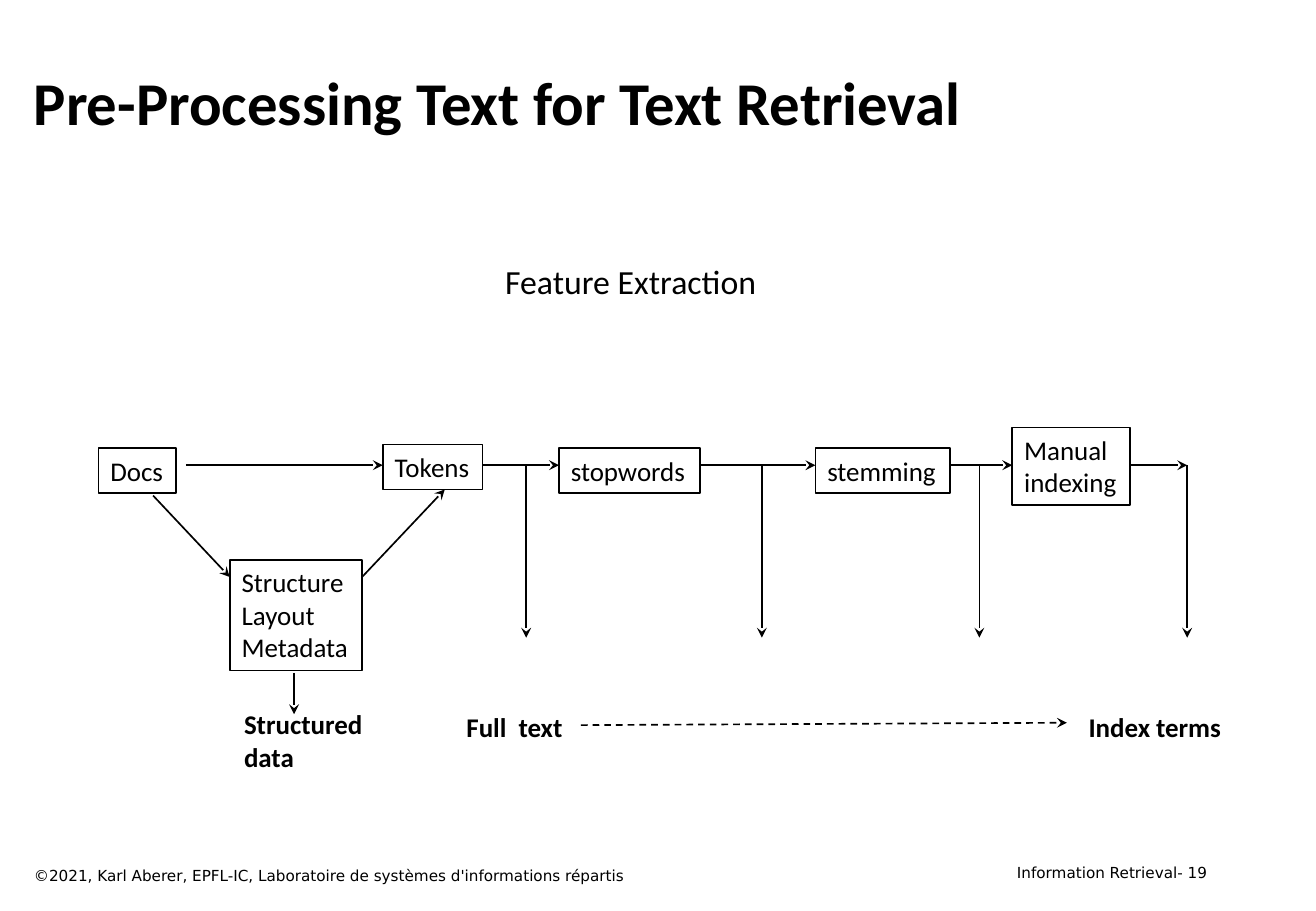
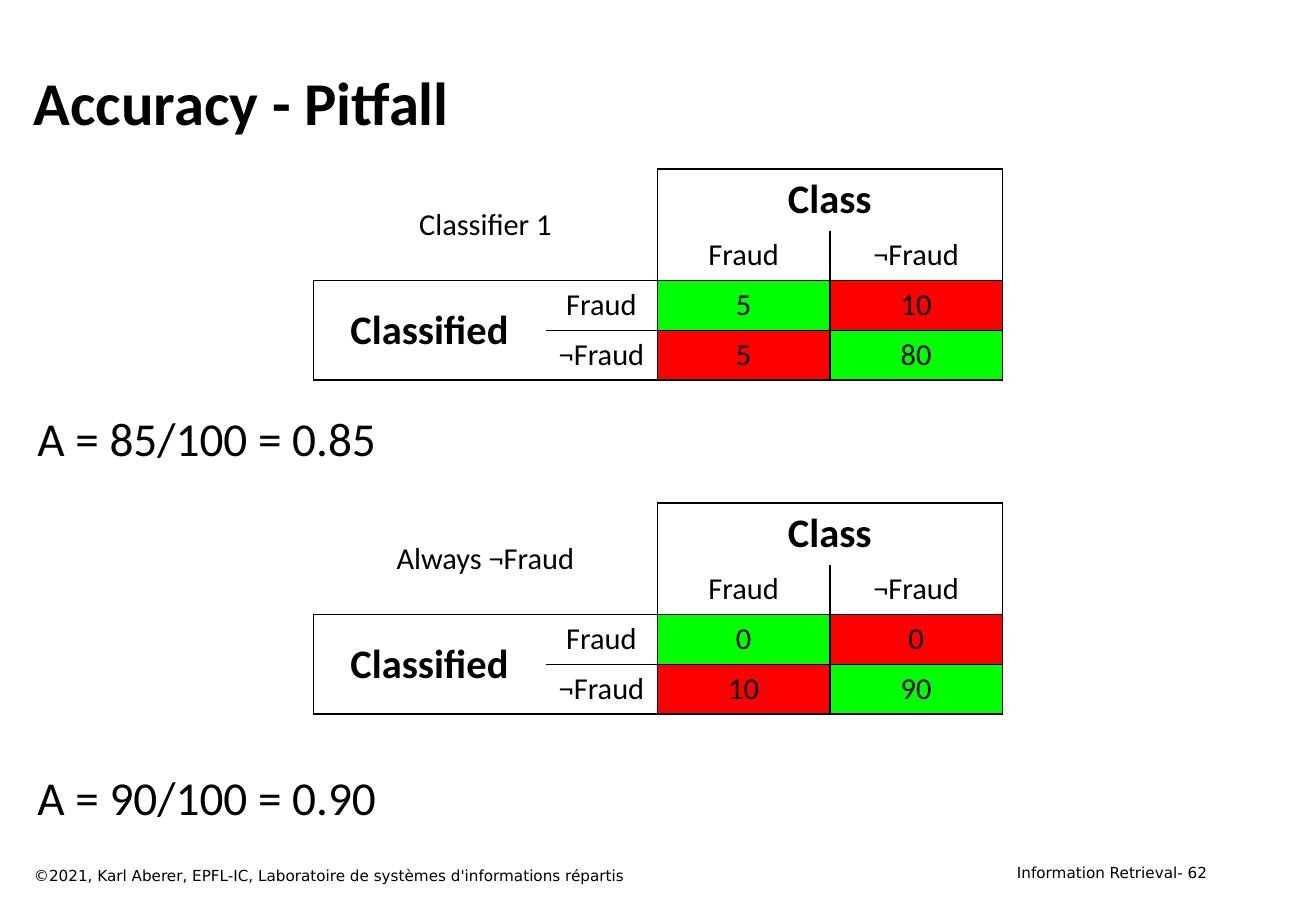
from itertools import pairwise

from lxml import etree
from pptx import Presentation
from pptx.dml.color import RGBColor
from pptx.enum.dml import MSO_LINE
from pptx.enum.shapes import MSO_CONNECTOR, MSO_SHAPE
from pptx.enum.text import MSO_ANCHOR, PP_ALIGN
from pptx.oxml.ns import qn
from pptx.util import Inches, Pt

LEFT, CENTER, RIGHT = PP_ALIGN.LEFT, PP_ALIGN.CENTER, PP_ALIGN.RIGHT
TOP, MIDDLE = MSO_ANCHOR.TOP, MSO_ANCHOR.MIDDLE
STRAIGHT, RECTANGLE, DASH = MSO_CONNECTOR.STRAIGHT, MSO_SHAPE.RECTANGLE, MSO_LINE.DASH

BLACK, GREEN, RED = "000000", "00FF00", "FF0000"
BODY_FONT, FOOTER_FONT = "Calibri", "DejaVu Sans"
COPYRIGHT = "©2021, Karl Aberer, EPFL-IC, Laboratoire de systèmes d'informations répartis"
COURSE = "Information Retrieval- "

# Text, left, top, width, height
PIPELINE = [
    ("Docs", 0.81, 3.69, 0.64, 0.37),
    ("Tokens", 3.15, 3.66, 0.82, 0.37),
    ("stopwords", 4.6, 3.69, 1.16, 0.37),
    ("stemming", 6.71, 3.69, 1.11, 0.37),
    ("Manual\nindexing", 8.33, 3.52, 0.97, 0.64),
]
STRUCTURE = ("Structure\nLayout\nMetadata", 1.89, 4.61, 1.09, 0.91)
RESULTS = [
    ("Structured\ndata", 1.91, 5.78, 1.19, 0.64),
    ("Full  text", 3.74, 5.8, 1.28, 0.37),
    ("Index terms", 8.86, 5.8, 1.31, 0.37),
]
FLOW_Y, DROP_END_Y = 3.83, 5.25
DROP_XS = [4.33, 6.27, 8.06, 9.77]
DOCS_GAP = 0.08
STRUCTURE_ARROWS = [
    ((1.26, 4.08), (1.89, 4.75)),
    ((2.98, 4.75), (3.66, 4.03)),
    ((2.42, 5.54), (2.42, 5.88)),
]

# Classifier, counts by row, table top, accuracy, accuracy top
CLASSIFIERS = [
    ("Classifier 1", [(5, 10), (5, 80)], 1.39, "A = 85/100 = 0.85", 3.32),
    ("Always ¬Fraud", [(0, 0), (10, 90)], 4.14, "A = 90/100 = 0.90", 6.28),
]
LABELS = ("Fraud", "¬Fraud")
TABLE_LEFT = 2.58
COLUMN_WIDTHS = [1.91, 0.92, 1.42, 1.42]
ROW_HEIGHTS = [0.51, 0.41, 0.41, 0.41]
MERGES = [((0, 0), (1, 1)), ((0, 2), (0, 3)), ((2, 0), (3, 0))]
# Drawn sides of each cell: L, R, T, B
BORDERS = [
    ["RB", "R", "LTR", "TR"],
    ["B", "RB", "LRB", "LRB"],
    ["LTB", "TRB", "LTRB", "LTRB"],
    ["LB", "TRB", "LTRB", "LTRB"],
]
NO_TABLE_STYLE = "{2D5ABB26-0587-4C30-8999-92F81FD0307C}"


def rgb(color):
    return RGBColor.from_string(color)


def write(frame, text, size, bold=False, align=LEFT, font=BODY_FONT):
    for index, line in enumerate(text.split("\n")):
        paragraph = frame.add_paragraph() if index else frame.paragraphs[0]
        paragraph.alignment = align
        run = paragraph.add_run()
        run.text = line
        run.font.name, run.font.size, run.font.bold = font, Pt(size), bold
        run.font.color.rgb = rgb(BLACK)


def add_text(slide, text, left, top, width, height, size, wrap=True, anchor=TOP, **style):
    box = slide.shapes.add_textbox(*map(Inches, (left, top, width, height)))
    box.text_frame.word_wrap = wrap
    box.text_frame.vertical_anchor = anchor
    write(box.text_frame, text, size, **style)


def add_step(slide, text, *place):
    step = slide.shapes.add_shape(RECTANGLE, *map(Inches, place))
    step.shadow.inherit = False
    step.fill.background()
    step.line.color.rgb = rgb(BLACK)
    step.line.width = Pt(1)
    step.text_frame.word_wrap = False
    step.text_frame.vertical_anchor = TOP
    write(step.text_frame, text, 16)


def add_arrow(slide, start, end, dash=None):
    arrow = slide.shapes.add_connector(STRAIGHT, *map(Inches, (*start, *end)))
    arrow.line.color.rgb = rgb(BLACK)
    arrow.line.width = Pt(1)
    if dash:
        arrow.line.dash_style = dash
    properties = arrow.line._get_or_add_ln()
    etree.SubElement(properties, qn("a:tailEnd"), type="stealth")
    etree.SubElement(arrow._element.spPr, qn("a:effectLst"))


def set_borders(cell, sides):
    """Draw the named sides in black and hide the others."""
    properties = cell._tc.get_or_add_tcPr()
    for side in "LRTB":
        line = etree.SubElement(properties, qn(f"a:ln{side}"), w=str(Pt(1)))
        if side in sides:
            fill = etree.SubElement(line, qn("a:solidFill"))
            etree.SubElement(fill, qn("a:srgbClr"), val=BLACK)
        else:
            etree.SubElement(line, qn("a:noFill"))


def add_confusion_table(slide, classifier, counts, top):
    table = slide.shapes.add_table(
        len(ROW_HEIGHTS), len(COLUMN_WIDTHS), Inches(TABLE_LEFT), Inches(top),
        Inches(sum(COLUMN_WIDTHS)), Inches(sum(ROW_HEIGHTS))).table
    table.first_row = table.horz_banding = False
    table._tbl.tblPr.find(qn("a:tableStyleId")).text = NO_TABLE_STYLE
    for column, width in zip(table.columns, COLUMN_WIDTHS):
        column.width = Inches(width)
    for row, height in zip(table.rows, ROW_HEIGHTS):
        row.height = Inches(height)

    texts = {(0, 0): classifier, (0, 2): "Class", (2, 0): "Classified"}
    fills = {}
    for i, label in enumerate(LABELS):
        texts[1, 2 + i] = texts[2 + i, 1] = label
        for j, count in enumerate(counts[i]):
            texts[2 + i, 2 + j] = str(count)
            fills[2 + i, 2 + j] = GREEN if i == j else RED

    for first, last in MERGES:
        table.cell(*first).merge(table.cell(*last))
    for r, row_borders in enumerate(BORDERS):
        for c, sides in enumerate(row_borders):
            cell = table.cell(r, c)
            set_borders(cell, sides)
            if (r, c) in fills:
                cell.fill.solid()
                cell.fill.fore_color.rgb = rgb(fills[r, c])
            else:
                cell.fill.background()
            if (r, c) in texts:
                heading = texts[r, c] in ("Class", "Classified")
                write(cell.text_frame, texts[r, c], 24 if heading else 18, heading, CENTER)
            if cell.is_merge_origin:
                cell.vertical_anchor = MIDDLE


def add_slide(deck, title, number):
    slide = deck.slides.add_slide(deck.slide_layouts[6])
    add_text(slide, f"{COURSE}{number}", 7.77, 7.06, 2.26, 0.25, 9, align=RIGHT, font=FOOTER_FONT)
    add_text(slide, title, 0.18, 0.33, 9.84, 1, 36, anchor=MIDDLE, bold=True)
    add_text(slide, COPYRIGHT, 0.18, 7.08, 6.95, 0.25, 9, font=FOOTER_FONT)
    return slide


def build_preprocessing(deck):
    slide = add_slide(deck, "Pre-Processing Text for Text Retrieval", 19)
    add_text(slide, "Feature Extraction", 4.04, 2.1, 2.3, 0.44, 20, wrap=False, align=CENTER)
    for step in [STRUCTURE, *PIPELINE]:
        add_step(slide, *step)
    for step, following in pairwise(PIPELINE):
        name, left, _, width, _ = step
        gap = DOCS_GAP if name == "Docs" else 0
        add_arrow(slide, (left + width + gap, FLOW_Y), (following[1], FLOW_Y))
    _, left, _, width, _ = PIPELINE[-1]
    add_arrow(slide, (left + width, FLOW_Y), (DROP_XS[-1], FLOW_Y))
    for x in DROP_XS:
        add_arrow(slide, (x, FLOW_Y), (x, DROP_END_Y))
    for start, end in STRUCTURE_ARROWS:
        add_arrow(slide, start, end)
    for result in RESULTS:
        add_text(slide, *result, 16, wrap=False, bold=True)
    add_arrow(slide, (4.78, 5.97), (8.78, 5.95), DASH)


def build_accuracy(deck):
    slide = add_slide(deck, "Accuracy - Pitfall", 62)
    for classifier, counts, table_top, accuracy, accuracy_top in CLASSIFIERS:
        add_confusion_table(slide, classifier, counts, table_top)
        add_text(slide, accuracy, 0.21, accuracy_top, 9.84, 0.57, 28)


def main():
    deck = Presentation()
    deck.slide_width, deck.slide_height = Inches(10.83), Inches(7.5)
    build_preprocessing(deck)
    build_accuracy(deck)
    deck.save("out.pptx")


if __name__ == "__main__":
    main()
